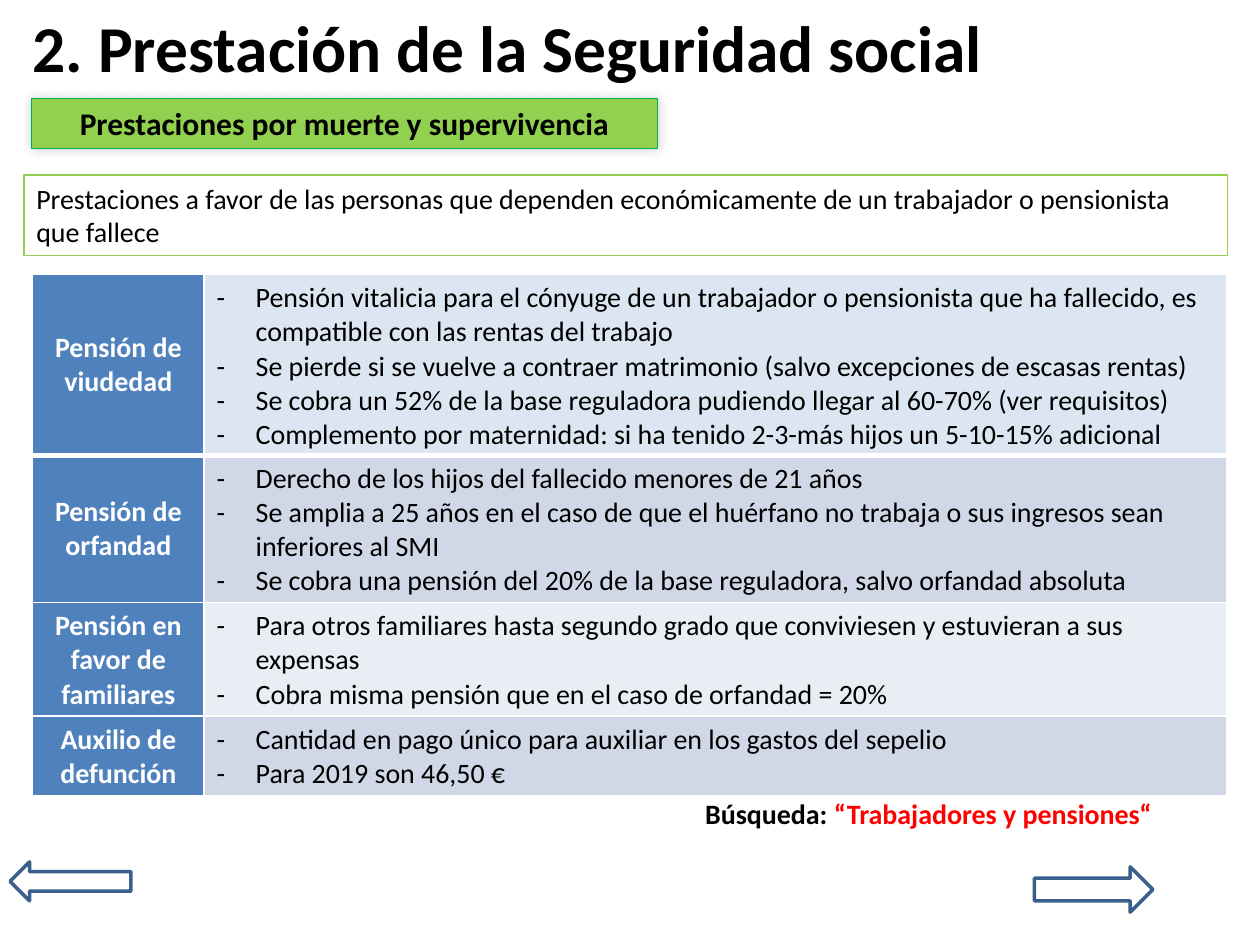
from pptx import Presentation
from pptx.dml.color import RGBColor
from pptx.enum.shapes import MSO_SHAPE
from pptx.enum.text import MSO_ANCHOR, MSO_AUTO_SIZE, PP_ALIGN
from pptx.oxml import parse_xml
from pptx.oxml.ns import nsdecls
from pptx.util import Inches, Pt


def rgb(color):
    return RGBColor.from_string(color)


def write(tf, *paragraphs, size=16, color="000000", bold=False, align=PP_ALIGN.LEFT,
          anchor=None, bullet=None):
    """Fill a text frame; each paragraph is a string or a list of (text, color) runs."""
    if anchor is not None:
        tf.vertical_anchor = anchor
    for i, text in enumerate(paragraphs):
        p = tf.paragraphs[0] if i == 0 else tf.add_paragraph()
        p.alignment = align
        if bullet:
            pPr = p._p.get_or_add_pPr()
            pPr.set("marL", str(Inches(0.31)))
            pPr.set("indent", str(-Inches(0.31)))
            pPr.append(parse_xml(f'<a:buFont {nsdecls("a")} typeface="Calibri"/>'))
            pPr.append(parse_xml(f'<a:buChar {nsdecls("a")} char="{bullet}"/>'))
        for run_text, run_color in [(text, color)] if isinstance(text, str) else text:
            r = p.add_run()
            r.text = run_text
            r.font.name = "Calibri"
            r.font.size = Pt(size)
            r.font.bold = bold
            r.font.color.rgb = rgb(run_color)


prs = Presentation()
prs.slide_width, prs.slide_height = Inches(10), Inches(7.5)
s = prs.slides.add_slide(prs.slide_layouts[5])

title = s.shapes.title
title.left, title.top = Inches(0.16), Inches(0.05)
title.width, title.height = Inches(9.42), Inches(0.63)
title.text_frame.auto_size = MSO_AUTO_SIZE.NONE
write(title.text_frame, "2. Prestación de la Seguridad social", size=37.4, bold=True,
      anchor=MSO_ANCHOR.MIDDLE)

# Navigation arrows
for preset, x, y, w, h in [
    (MSO_SHAPE.LEFT_ARROW, 0.08, 6.84, 0.96, 0.31),
    (MSO_SHAPE.RIGHT_ARROW, 8.21, 6.88, 0.94, 0.36),
]:
    sp = s.shapes.add_shape(preset, Inches(x), Inches(y), Inches(w), Inches(h))
    sp.shadow.inherit = False
    sp.fill.background()
    sp.line.color.rgb = rgb("3A5F8C")
    sp.line.width = Pt(2)

# Section heading with a soft shadow
heading = s.shapes.add_shape(MSO_SHAPE.RECTANGLE, Inches(0.25), Inches(0.78),
                             Inches(4.97), Inches(0.4))
heading.shadow.inherit = False
heading.fill.solid()
heading.fill.fore_color.rgb = rgb("92D050")
heading.line.color.rgb = rgb("00B050")
heading.line.width = Pt(0.75)
heading._element.spPr.find("{*}effectLst").append(parse_xml(
    f'<a:outerShdw {nsdecls("a")} blurRad="{Pt(6)}" dist="0" dir="13500000">'
    '<a:srgbClr val="000000"><a:alpha val="20000"/></a:srgbClr></a:outerShdw>'))
heading.text_frame.word_wrap = True
heading.text_frame.auto_size = MSO_AUTO_SIZE.SHAPE_TO_FIT_TEXT
write(heading.text_frame, "Prestaciones por muerte y supervivencia", size=18, bold=True,
      align=PP_ALIGN.CENTER, anchor=MSO_ANCHOR.TOP)

search = s.shapes.add_textbox(Inches(5.47), Inches(6.27), Inches(3.8), Inches(0.37))
search.text_frame.word_wrap = False
search.text_frame.auto_size = MSO_AUTO_SIZE.SHAPE_TO_FIT_TEXT
write(search.text_frame, [("Búsqueda: ", "000000"), ("“Trabajadores y pensiones“", "FF0000")],
      bold=True, align=PP_ALIGN.CENTER)

definition = s.shapes.add_textbox(Inches(0.19), Inches(1.39), Inches(9.55), Inches(0.64))
definition.line.color.rgb = rgb("92D050")
definition.line.width = Pt(0.75)
definition.text_frame.word_wrap = True
definition.text_frame.auto_size = MSO_AUTO_SIZE.SHAPE_TO_FIT_TEXT
write(definition.text_frame, "Prestaciones a favor de las personas que dependen "
      "económicamente de un trabajador o pensionista que fallece")

# Benefits: name, row height, fill of the details, details
benefits = [
    ("Pensión de viudedad", 1.42, "DCE6F2", [
        "Pensión vitalicia para el cónyuge de un trabajador o pensionista que ha fallecido, "
        "es compatible con las rentas del trabajo",
        "Se pierde si se vuelve a contraer matrimonio (salvo excepciones de escasas rentas)",
        "Se cobra un 52% de la base reguladora pudiendo llegar al 60-70% (ver requisitos)",
        "Complemento por maternidad: si ha tenido 2-3-más hijos un 5-10-15% adicional"]),
    ("Pensión de orfandad", 1.17, "D0D8E8", [
        "Derecho de los hijos del fallecido menores de 21 años",
        "Se amplia a 25 años en el caso de que el huérfano no trabaja o sus ingresos sean "
        "inferiores al SMI",
        "Se cobra una pensión del 20% de la base reguladora, salvo orfandad absoluta"]),
    ("Pensión en favor de familiares", 0.9, "E9EDF4", [
        "Para otros familiares hasta segundo grado que conviviesen y estuvieran a sus expensas",
        "Cobra misma pensión que en el caso de orfandad = 20%"]),
    ("Auxilio de defunción", 0.63, "D0D8E8", [
        "Cantidad en pago único para auxiliar en los gastos del sepelio",
        "Para 2019 son 46,50 €"]),
]
table = s.shapes.add_table(len(benefits), 2, Inches(0.26), Inches(2.18),
                           Inches(9.48), Inches(4.12)).table
table.columns[0].width, table.columns[1].width = Inches(1.36), Inches(8.12)
for i, (name, height, fill, details) in enumerate(benefits):
    table.rows[i].height = Inches(height)
    label, detail = table.cell(i, 0), table.cell(i, 1)
    write(label.text_frame, name, color="FFFFFF", bold=True, align=PP_ALIGN.CENTER)
    write(detail.text_frame, *details, bullet="-")
    label.vertical_anchor = MSO_ANCHOR.MIDDLE
    detail.vertical_anchor = MSO_ANCHOR.TOP if i == 0 else MSO_ANCHOR.MIDDLE
    for cell, color in [(label, "4F81BD"), (detail, fill)]:
        for side in "LRTB":
            width = Pt(3) if (i, side) in [(0, "B"), (1, "T")] else Pt(1)
            cell._tc.get_or_add_tcPr().append(parse_xml(
                f'<a:ln{side} {nsdecls("a")} w="{width}"><a:solidFill>'
                f'<a:srgbClr val="FFFFFF"/></a:solidFill></a:ln{side}>'))
        cell.fill.solid()
        cell.fill.fore_color.rgb = rgb(color)

prs.save("out.pptx")
